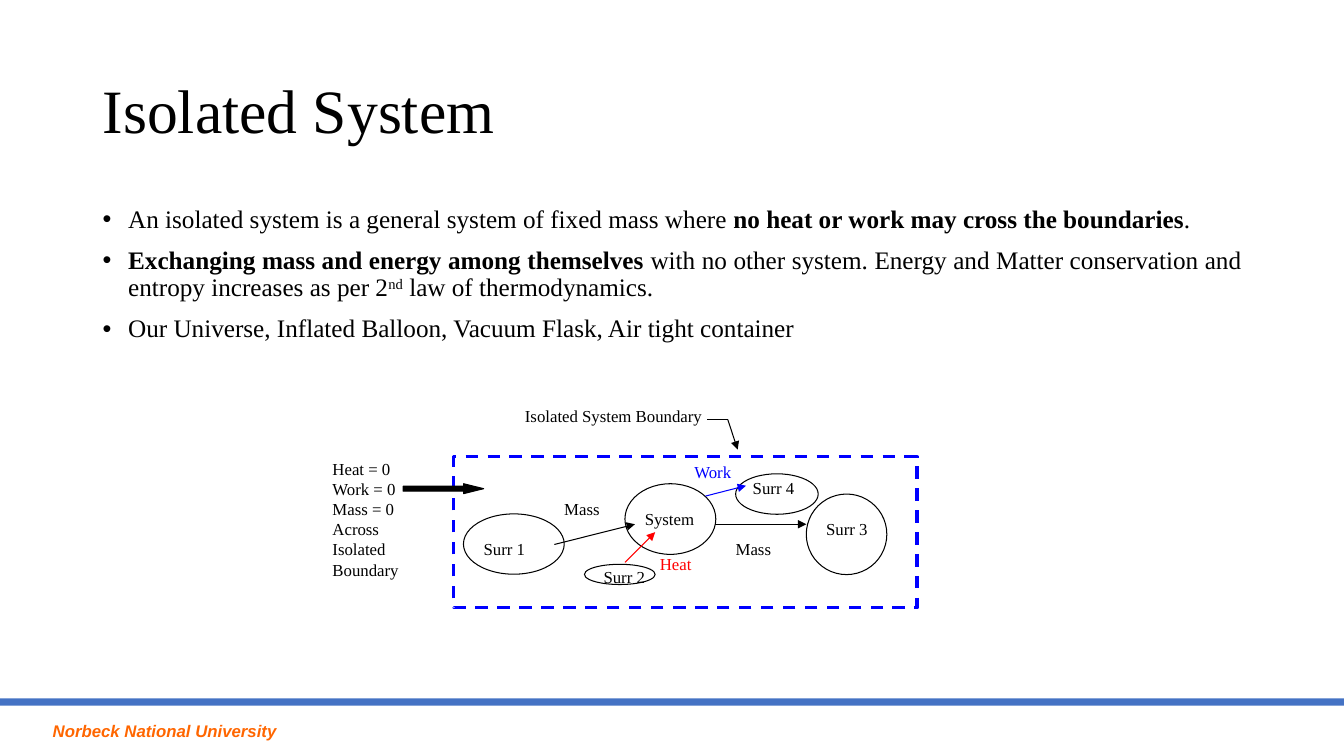
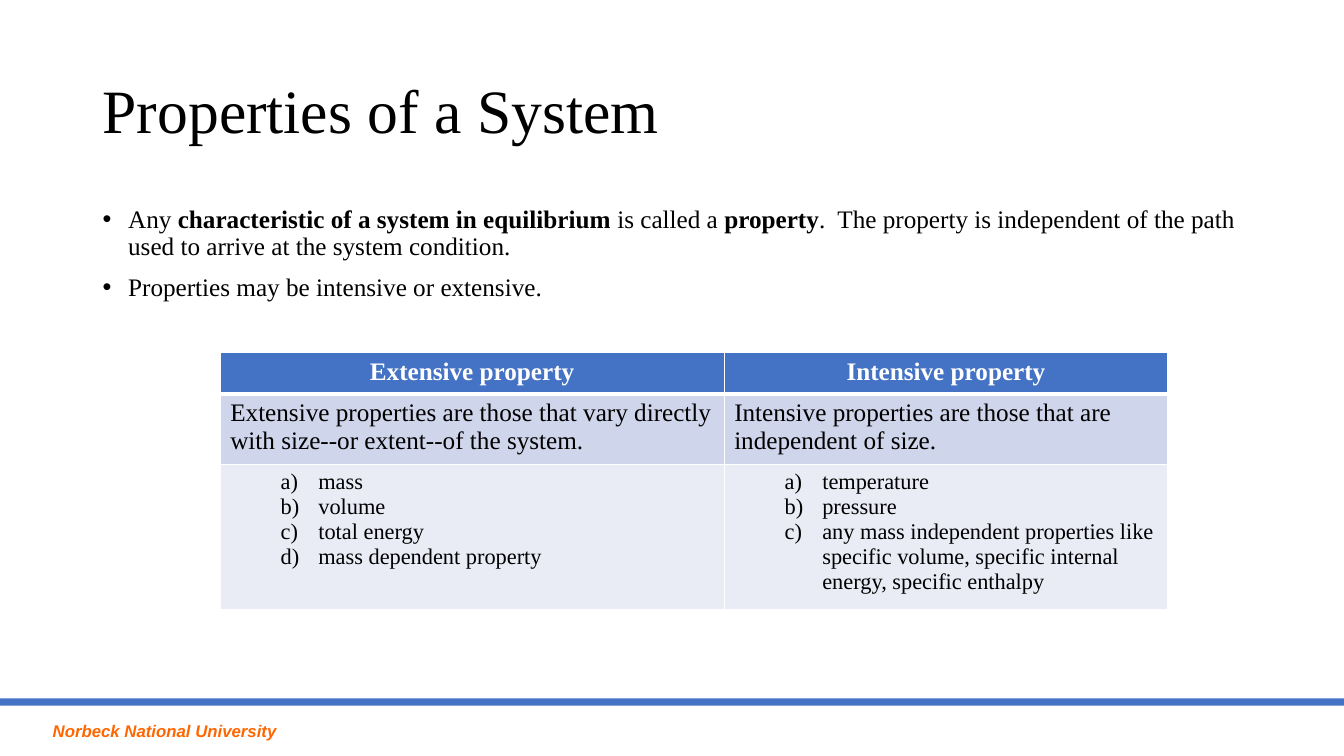
from dataclasses import dataclass

from lxml import etree
from pptx import Presentation
from pptx.dml.color import RGBColor
from pptx.enum.dml import MSO_LINE
from pptx.enum.shapes import MSO_CONNECTOR, MSO_SHAPE
from pptx.enum.text import MSO_ANCHOR, PP_ALIGN
from pptx.oxml.ns import qn
from pptx.util import Cm, Pt

BLACK = RGBColor(0x00, 0x00, 0x00)
WHITE = RGBColor(0xFF, 0xFF, 0xFF)
BLUE = RGBColor(0x00, 0x00, 0xFF)
RED = RGBColor(0xFF, 0x00, 0x00)
ORANGE = RGBColor(0xFF, 0x66, 0x00)
ACCENT = RGBColor(0x44, 0x72, 0xC4)
DARK_BAND = RGBColor(0xCF, 0xD5, 0xEA)
PALE_BAND = RGBColor(0xE9, 0xEB, 0xF5)

RECT, OVAL, ARROW = MSO_SHAPE.RECTANGLE, MSO_SHAPE.OVAL, MSO_SHAPE.RIGHT_ARROW
STRAIGHT = MSO_CONNECTOR.STRAIGHT
DASH = MSO_LINE.DASH
LEFT, CENTER, JUSTIFY = PP_ALIGN.LEFT, PP_ALIGN.CENTER, PP_ALIGN.JUSTIFY
TOP, MIDDLE = MSO_ANCHOR.TOP, MSO_ANCHOR.MIDDLE

SERIF, SANS = "Times New Roman", "Arial"
WIDTH, HEIGHT = 33.87, 19.05
MARGIN, INNER = 2.34, 29.21
THIN = 0.75


@dataclass
class Box:
    left: float
    top: float
    width: float
    height: float

    def lengths(self) -> tuple:
        return Cm(self.left), Cm(self.top), Cm(self.width), Cm(self.height)


@dataclass
class Label:
    text: str
    box: Box
    color: RGBColor = BLACK


@dataclass
class Link:
    x1: float
    y1: float
    x2: float
    y2: float
    color: RGBColor = BLACK
    head: bool = True


@dataclass
class Column:
    width: float
    title: str
    meaning: str
    samples: str


# Isolated system diagram
BORDER = Box(11.43, 11.51, 11.68, 3.81)
BODIES = [
    Box(15.75, 12.19, 2.29, 1.78),
    Box(11.68, 12.95, 2.54, 1.52),
    Box(20.32, 12.45, 2.03, 2.03),
    Box(18.54, 11.94, 2.08, 1.02),
    Box(14.73, 14.22, 1.78, 0.51),
]
LINKS = [
    Link(13.97, 13.72, 16, 13.21),
    Link(18.03, 13.21, 20.32, 13.21),
    Link(17.83, 10.57, 18.34, 10.57, head=False),
    Link(18.34, 10.57, 18.59, 11.33),
    Link(17.78, 12.5, 18.8, 12.24, BLUE),
    Link(15.75, 14.17, 16.51, 13.41, RED),
]
LABELS = [
    Label("Isolated System Boundary", Box(12.98, 10.11, 5.59, 0.76)),
    Label("Mass", Box(18.29, 13.46, 1.78, 0.76)),
    Label("Mass", Box(13.97, 12.45, 1.78, 0.76)),
    Label("System", Box(16, 12.7, 2.29, 0.76)),
    Label("Surr 1", Box(11.94, 13.46, 1.9, 0.76)),
    Label("Surr 2", Box(14.96, 14.15, 1.9, 0.76)),
    Label("Surr 3", Box(20.57, 12.95, 1.9, 0.76)),
    Label("Surr 4", Box(18.72, 11.91, 1.9, 0.76)),
    Label("Work", Box(17.25, 11.51, 1.78, 0.76), BLUE),
    Label("Heat", Box(16.38, 13.82, 1.78, 0.76), RED),
    Label("Heat = 0\nWork = 0\nMass = 0\nAcross\nIsolated\nBoundary",
          Box(8.13, 11.43, 2.54, 3.3)),
]

# Property table; rows grow to fit their text
COLUMNS = [
    Column(12.7, "Extensive property",
           "Extensive properties are those that vary directly with size--or extent--of the system.",
           "mass\nvolume\ntotal energy\nmass dependent property"),
    Column(11.18, "Intensive property",
           "Intensive properties are those that are independent of size.",
           "temperature\npressure\nany mass independent properties like specific volume, "
           "specific internal energy, specific enthalpy"),
]
ROWS = [1.04, 0.41, 1.04]


def add_mark(para, tag: str, indent: float, hang: float, **values: str) -> None:
    """Give a paragraph a hanging bullet or number."""
    props = para._p.get_or_add_pPr()
    props.set("marL", str(Cm(indent)))
    props.set("indent", str(-Cm(hang)))
    etree.SubElement(props, qn("a:buFont"), typeface=SANS if tag == "buChar" else SERIF)
    etree.SubElement(props, qn("a:" + tag), **values)


def write(frame, text: str, *, size: float = 12, font: str = SERIF,
          color: RGBColor = BLACK, bold: bool = False, italic: bool = False,
          align=LEFT, anchor=TOP, line: float = 1, before: float = 0,
          mark: str = "") -> None:
    """Write lines as paragraphs; ** switches bold and ^ switches superscript."""
    frame.word_wrap = True
    frame.vertical_anchor = anchor
    for index, row in enumerate(text.split("\n")):
        para = frame.add_paragraph() if index else frame.paragraphs[0]
        para.alignment = align
        para.line_spacing = line
        para.space_before = Pt(before)
        if mark == "bullet":
            add_mark(para, "buChar", 0.64, 0.64, char="•")
        elif mark == "letter":
            add_mark(para, "buAutoNum", 2.22, 0.95, type="alphaLcParenR")
        for part, chunk in enumerate(row.split("**")):
            for level, piece in enumerate(chunk.split("^")):
                if not piece:
                    continue
                run = para.add_run()
                run.text = piece
                run.font.size, run.font.name = Pt(size), font
                run.font.color.rgb = color
                run.font.bold = bold or part % 2 == 1
                run.font.italic = italic
                if level % 2:
                    run.font._element.set("baseline", "30000")


def add_text(slide, text: str, box: Box, **style) -> None:
    write(slide.shapes.add_textbox(*box.lengths()).text_frame, text, **style)


def add_form(slide, kind, box: Box, fill: RGBColor, edge: RGBColor | None = None,
             weight: float = THIN):
    form = slide.shapes.add_shape(kind, *box.lengths())
    form.shadow.inherit = False
    form.fill.solid()
    form.fill.fore_color.rgb = fill
    if edge is None:
        form.line.fill.background()
    else:
        form.line.color.rgb = edge
        form.line.width = Pt(weight)
    return form


def add_link(slide, link: Link) -> None:
    line = slide.shapes.add_connector(
        STRAIGHT, Cm(link.x1), Cm(link.y1), Cm(link.x2), Cm(link.y2))
    line.line.color.rgb = link.color
    line.line.width = Pt(THIN)
    if link.head:
        etree.SubElement(line.line._get_or_add_ln(), qn("a:tailEnd"), type="triangle")
    etree.SubElement(line._element.spPr, qn("a:effectLst"))


def set_edges(cell, base: float) -> None:
    """Draw white cell borders, with a given weight below."""
    props = cell._tc.get_or_add_tcPr()
    weights = {"lnL": 1, "lnR": 1, "lnT": 1, "lnB": base}
    for spot, (tag, weight) in enumerate(weights.items()):
        edge = etree.Element(qn("a:" + tag), w=str(Pt(weight)))
        fill = etree.SubElement(edge, qn("a:solidFill"))
        etree.SubElement(fill, qn("a:srgbClr"), val=str(WHITE))
        props.insert(spot, edge)


def add_table(slide, left: float, top: float) -> None:
    box = Box(left, top, sum(col.width for col in COLUMNS), sum(ROWS))
    table = slide.shapes.add_table(len(ROWS), len(COLUMNS), *box.lengths()).table
    for row, height in zip(table.rows, ROWS):
        row.height = Cm(height)
    fills = [ACCENT, DARK_BAND, PALE_BAND]
    styles = [
        {"size": 18, "color": WHITE, "bold": True, "align": CENTER},
        {"size": 18},
        {"size": 16, "mark": "letter"},
    ]
    for x, col in enumerate(COLUMNS):
        table.columns[x].width = Cm(col.width)
        for y, text in enumerate([col.title, col.meaning, col.samples]):
            cell = table.cell(y, x)
            cell.fill.solid()
            cell.fill.fore_color.rgb = fills[y]
            set_edges(cell, 1 if y else 3)
            write(cell.text_frame, text, **styles[y])


def add_slide(deck, title: str, points: str, align=LEFT):
    """Start a slide with the shared band, footer, title and bullets."""
    slide = deck.slides.add_slide(deck.slide_layouts[6])
    add_form(slide, RECT, Box(0, 17.6, WIDTH, 0.18), ACCENT)
    add_text(slide, "Norbeck National University", Box(1.08, 18.03, 8.15, 0.76),
             font=SANS, color=ORANGE, bold=True, italic=True)
    add_text(slide, title, Box(MARGIN, 1.02, INNER, 3.68),
             size=44, anchor=MIDDLE, line=0.9)
    add_text(slide, points, Box(MARGIN, 5.08, INNER, 4.57),
             size=18, align=align, line=0.9, before=10, mark="bullet")
    return slide


def draw_system(slide) -> None:
    border = add_form(slide, RECT, BORDER, WHITE, BLUE, 2.25)
    border.line.dash_style = DASH
    for body in BODIES:
        add_form(slide, OVAL, body, WHITE, BLACK)
    arrow = add_form(slide, ARROW, Box(10.16, 12.19, 2.03, 0.25), BLACK, BLACK)
    arrow.adjustments[1] = 2.02
    for link in LINKS:
        add_link(slide, link)
    for label in LABELS:
        add_text(slide, label.text, label.box, color=label.color)


def main() -> None:
    deck = Presentation()
    deck.slide_width, deck.slide_height = Cm(WIDTH), Cm(HEIGHT)

    # Isolated system
    slide = add_slide(
        deck, "Isolated System",
        "An isolated system is a general system of fixed mass where "
        "**no heat or work may cross the boundaries**.\n"
        "**Exchanging mass and energy among themselves** with no other system. "
        "Energy and Matter conservation and entropy increases as per 2^nd^ law "
        "of thermodynamics.\n"
        "Our Universe, Inflated Balloon, Vacuum Flask, Air tight container",
        JUSTIFY)
    draw_system(slide)

    # Properties
    slide = add_slide(
        deck, "Properties of a System",
        "Any **characteristic of a system in equilibrium** is called a **property**.  "
        "The property is independent of the path used to arrive at the system condition.\n"
        "Properties may be intensive or extensive.")
    add_table(slide, 5.55, 8.89)

    deck.save("out.pptx")


if __name__ == "__main__":
    main()
